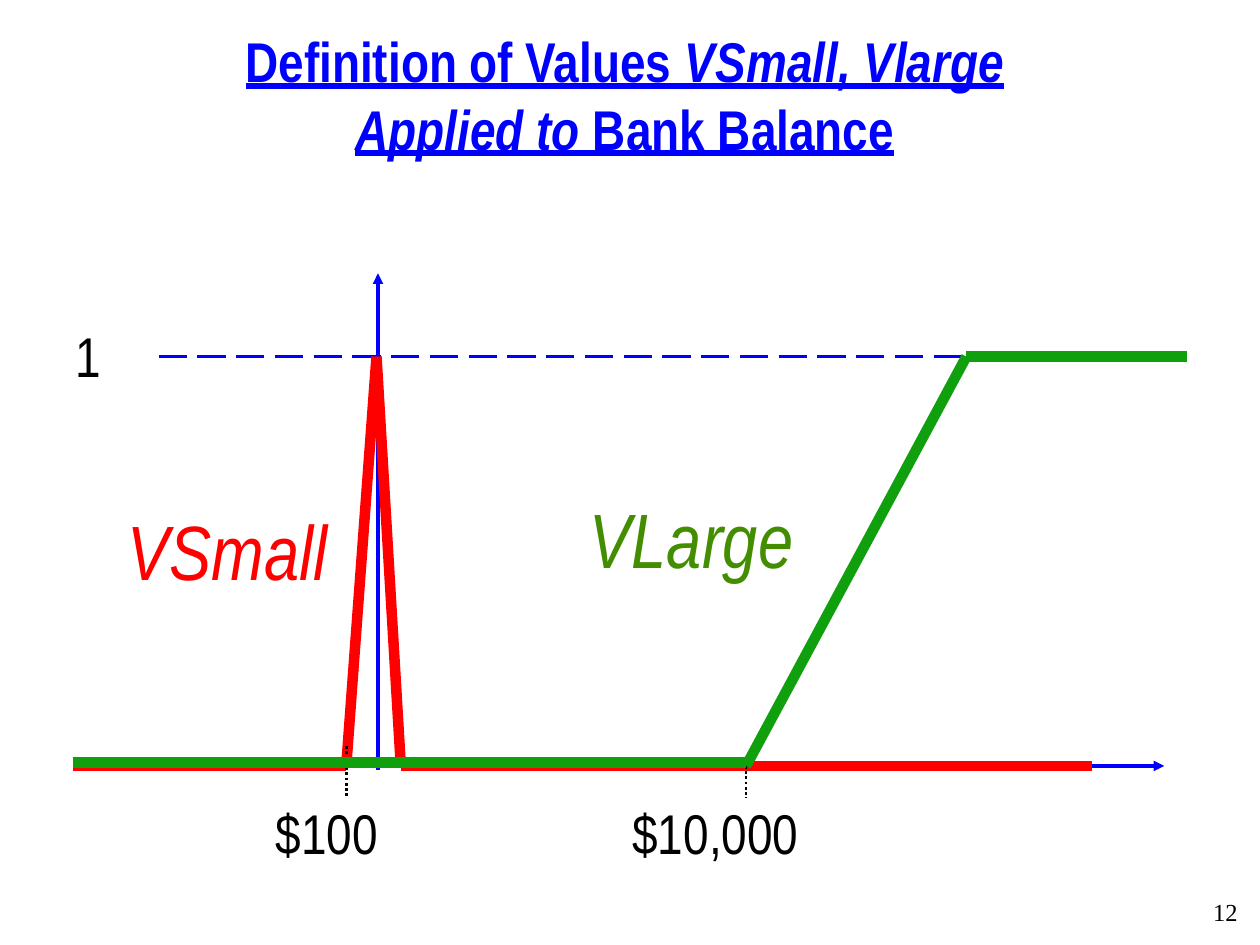
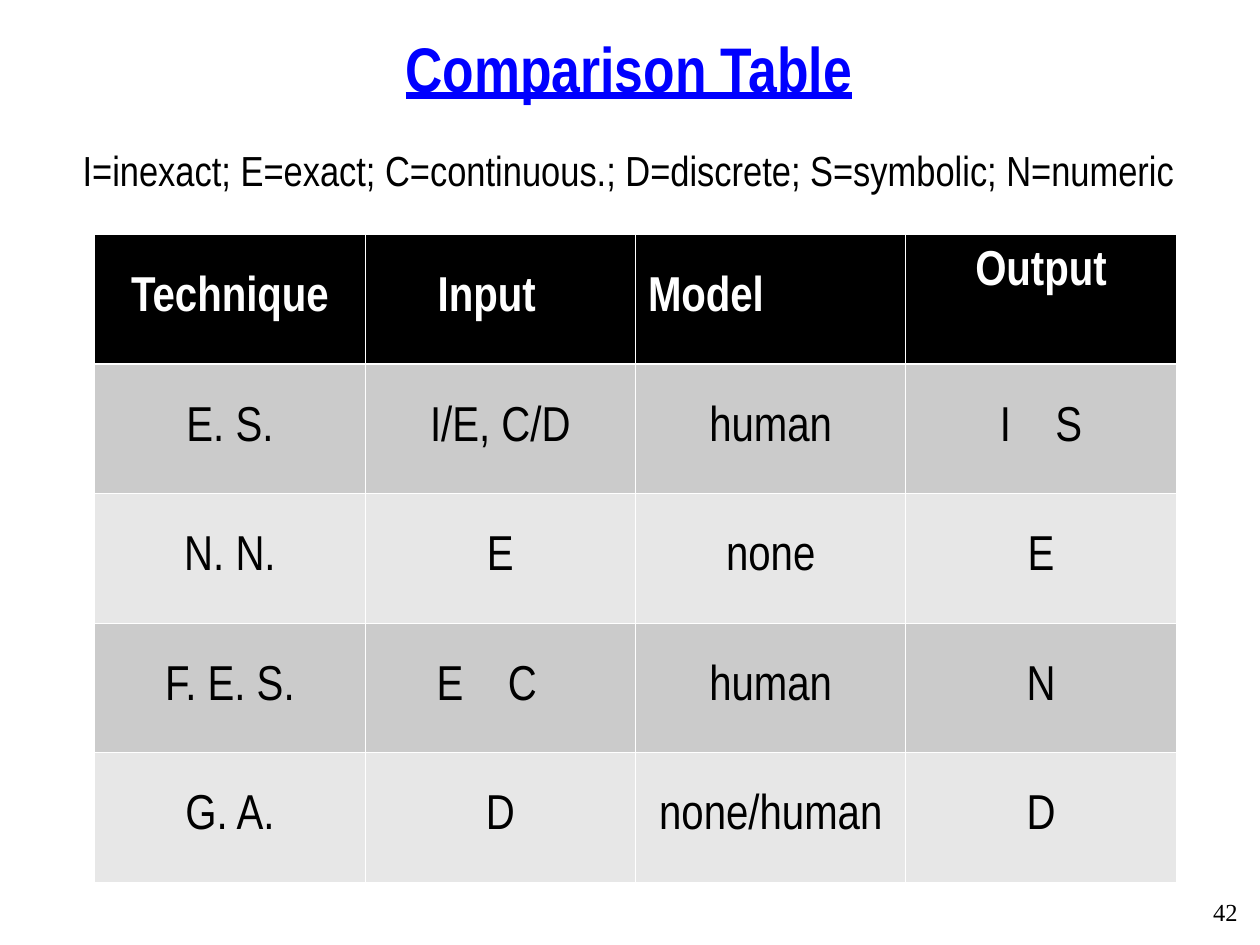
from lxml import etree
from pptx import Presentation
from pptx.dml.color import RGBColor
from pptx.enum.dml import MSO_LINE
from pptx.enum.shapes import MSO_CONNECTOR
from pptx.enum.text import MSO_ANCHOR, PP_ALIGN
from pptx.oxml.ns import qn
from pptx.util import Cm, Pt

BLUE = RGBColor(0x00, 0x00, 0xFF)
RED = RGBColor(0xFF, 0x00, 0x00)
GREEN = RGBColor(0x10, 0x9F, 0x0D)
OLIVE = RGBColor(0x43, 0x8E, 0x00)
BLACK = RGBColor(0x00, 0x00, 0x00)
WHITE = RGBColor(0xFF, 0xFF, 0xFF)
DARK = RGBColor(0xCB, 0xCB, 0xCB)
LIGHT = RGBColor(0xE7, 0xE7, 0xE7)

SANS = "Arial Narrow"
SERIF = "Times New Roman"
LEFT, CENTER, RIGHT = PP_ALIGN.LEFT, PP_ALIGN.CENTER, PP_ALIGN.RIGHT
TOP, MIDDLE, BOTTOM = MSO_ANCHOR.TOP, MSO_ANCHOR.MIDDLE, MSO_ANCHOR.BOTTOM
STRAIGHT = MSO_CONNECTOR.STRAIGHT
DASH, DOT = MSO_LINE.LONG_DASH, MSO_LINE.ROUND_DOT

THIN, THICK = 2, 6
ROWS = [
    ["Technique", "Input", "Model", "Output"],
    ["E. S.", "I/E, C/D", "human", "I S"],
    ["N. N.", "E", "none", "E"],
    ["F. E. S.", "E C", "human", "N"],
    ["G. A.", "D", "none/human", "D"],
]


def style(run, size, color=BLACK, bold=False, italic=False, face=SANS):
    font = run.font
    font.name, font.size = face, Pt(size)
    font.bold, font.italic = bold, italic
    font.color.rgb = color


def add_box(slide, box, anchor=TOP):
    frame = slide.shapes.add_textbox(*map(Cm, box)).text_frame
    frame.word_wrap = True
    frame.vertical_anchor = anchor
    return frame


def add_label(slide, box, text, size, align=LEFT, **look):
    frame = add_box(slide, box)
    para = frame.paragraphs[0]
    para.text, para.alignment = text, align
    style(para.runs[0], size, **look)
    return frame


def add_title(slide, box, size, lines):
    """Write lines, each a list of (text, italic) parts."""
    para = add_box(slide, box, BOTTOM).paragraphs[0]
    para.alignment = CENTER
    for n, line in enumerate(lines):
        if n:
            para.add_line_break()
        for text, italic in line:
            run = para.add_run()
            run.text = text
            style(run, size, BLUE, bold=True, italic=italic)
            run.font.underline = True


def add_page(slide, number):
    add_label(slide, (17.58, 17.96, 7.62, 0.84), str(number), 14, RIGHT,
              face=SERIF)


def add_line(slide, start, end, color, width, dash=None, arrow=False):
    link = slide.shapes.add_connector(STRAIGHT, *map(Cm, start + end))
    link.line.color.rgb = color
    link.line.width = Pt(width)
    if dash:
        link.line.dash_style = dash
    props = link._element.spPr
    if arrow:
        etree.SubElement(props.find(qn("a:ln")), qn("a:tailEnd"),
                         type="triangle")
    etree.SubElement(props, qn("a:effectLst"))


def add_graph(slide, box):
    """Draw both membership curves, their axes and their labels."""
    left, top, width, _ = box
    one, base, floor = 1.68, 9.93, 9.86
    low, peak, zero, high = 5.71, 6.32, 6.35, 6.81
    rise, full = 13.77, 18.21

    def line(x1, y1, x2, y2, *look, **more):
        add_line(slide, (left + x1, top + y1), (left + x2, top + y2),
                 *look, **more)

    def label(x, y, w, h, text, size, **look):
        return add_label(slide, (left + x, top + y, w, h), text, size, **look)

    line(1.93, base, 22.2, base, BLUE, THIN, arrow=True)
    line(zero, 10.01, zero, 0, BLUE, THIN, arrow=True)
    line(1.93, one, 21.77, one, BLUE, THIN, dash=DASH)

    small = [(0.2, base), (low, base), (peak, one), (high, base),
             (20.75, base)]
    for start, end in zip(small, small[1:]):
        line(*start, *end, RED, THICK)
    line(rise, base, full, one, GREEN, THICK)
    line(full, one, width, one, GREEN, THICK)
    line(low, 9.53, low, 10.57, BLACK, 1.5, dash=DOT)
    line(rise, base, rise, 10.57, BLACK, 1.5, dash=DOT)
    line(0.2, floor, rise, floor, GREEN, THICK)

    label(0, 0.84, 1.68, 1.6, "1", 32)
    label(4.04, 10.47, 3.18, 1.6, "$100", 32)
    label(11.23, 10.47, 5.08, 1.6, "$10,000", 32)
    names = [(1.3, 4.65, "VSmall", RED), (10.62, 4.4, "VLarge", OLIVE)]
    for x, y, name, color in names:
        frame = label(x, y, 4.5, 1.85, name, 44, color=color, italic=True)
        frame.margin_left = frame.margin_right = 0
        frame.margin_top = frame.margin_bottom = 0


def add_edges(cell, head):
    """Rule the cell in white, with a heavier line below the header."""
    props = cell._tc.get_or_add_tcPr()
    for n, side in enumerate("LRTB"):
        width = 1.47 if head and side == "B" else 0.45
        edge = etree.Element(qn("a:ln" + side), w=str(Pt(width)))
        fill = etree.SubElement(edge, qn("a:solidFill"))
        etree.SubElement(fill, qn("a:srgbClr"), val=str(WHITE))
        props.insert(n, edge)


def fill_cell(cell, text, head, shade):
    cell.fill.solid()
    cell.fill.fore_color.rgb = shade
    cell.vertical_anchor = MIDDLE
    add_edges(cell, head)
    para = cell.text_frame.paragraphs[0]
    para.alignment = CENTER
    pair = text in ("I S", "E C")
    for part in text.partition(" ") if pair else [text]:
        run = para.add_run()
        run.text = part
        style(run, 28, WHITE if head else BLACK, bold=head)
        if part == " ":
            run._r.get_or_add_rPr().set("spc", "1900")


def add_grid(slide, box, rows):
    table = slide.shapes.add_table(len(rows), len(rows[0]),
                                   *map(Cm, box)).table
    for r, row in enumerate(rows):
        shade = BLACK if r == 0 else DARK if r % 2 else LIGHT
        for c, text in enumerate(row):
            fill_cell(table.cell(r, c), text, r == 0, shade)
    for r in (0, 3):
        table.cell(r, 1).margin_right = Cm(0.8)
    table.cell(0, 2).text_frame.paragraphs[0].alignment = LEFT
    last = table.cell(0, 3)
    last.vertical_anchor = TOP
    last.margin_top = Cm(0.31)


def graph_slide(slide):
    add_page(slide, 12)
    add_title(slide, (0, 1.88, 25.2, 1.5), 32, [
        [("Definition of Values", False), (" VSmall, Vlarge", True)],
        [("Applied to ", True), ("Bank Balance", False)],
    ])
    add_graph(slide, (1.27, 5.51, 22.66, 12.07))


def table_slide(slide):
    add_page(slide, 42)
    add_title(slide, (0.08, 0, 25.2, 2.24), 36,
              [[("Comparison Table", False)]])
    add_grid(slide, (1.91, 4.72, 21.8, 13.06), ROWS)
    add_label(slide, (0.18, 2.79, 24.97, 1.27),
              "I=inexact; E=exact; C=continuous.; D=discrete; "
              "S=symbolic; N=numeric", 24, CENTER)


def main():
    deck = Presentation()
    deck.slide_width, deck.slide_height = Cm(25.4), Cm(19.05)
    blank = deck.slide_layouts[6]
    for build in (graph_slide, table_slide):
        build(deck.slides.add_slide(blank))
    deck.save("out.pptx")


if __name__ == "__main__":
    main()
